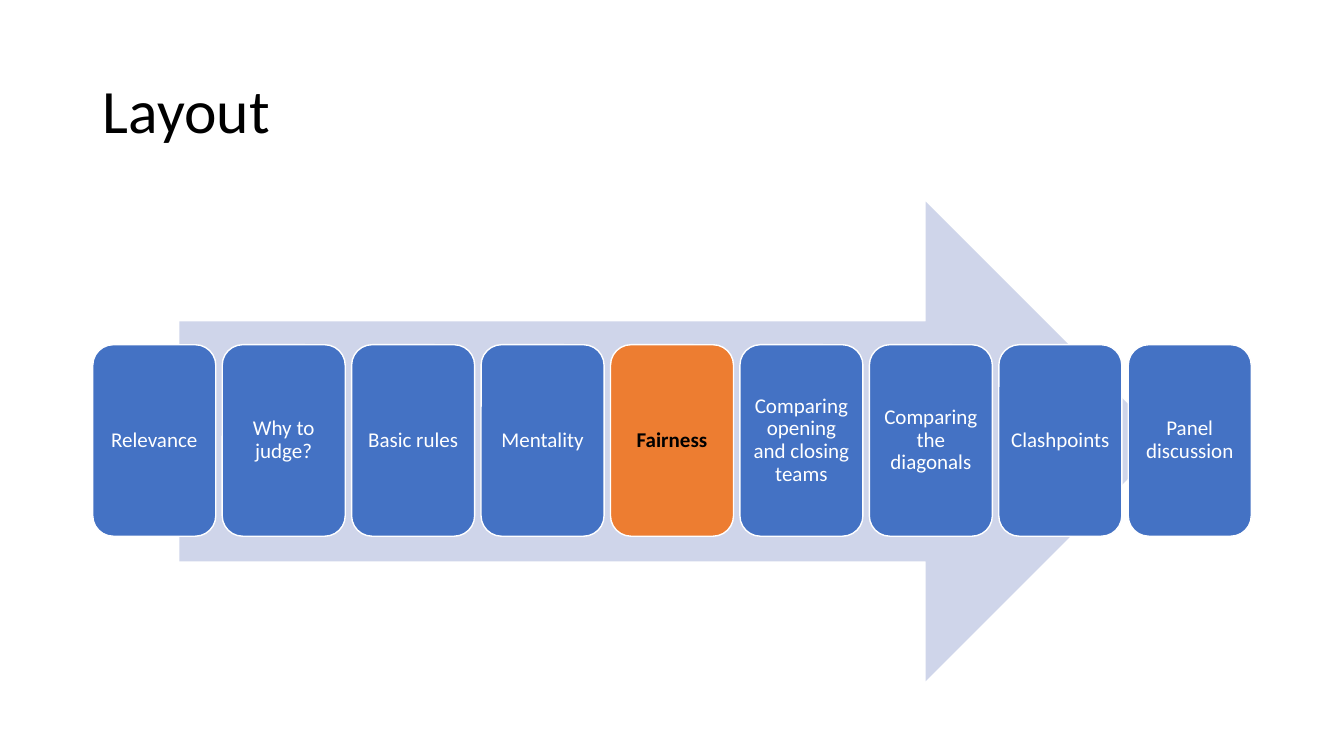
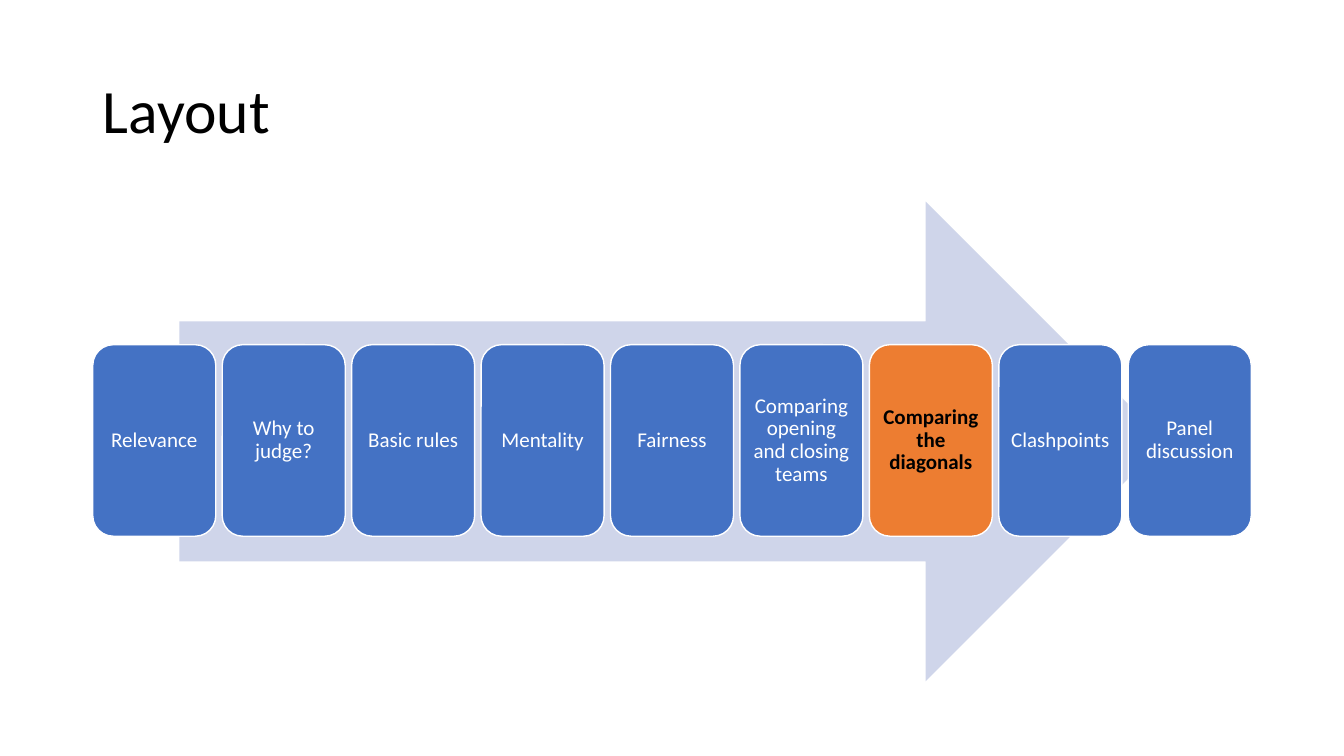
import pptx
import pptx.dml.color
import pptx.enum.shapes
import pptx.enum.text
import pptx.util

TOPICS = [
    "Relevance", "Why to judge?", "Basic rules", "Mentality", "Fairness",
    "Comparing opening and closing teams", "Comparing the diagonals",
    "Clashpoints", "Panel discussion",
]
CURRENT_TOPICS = ["Fairness", "Comparing the diagonals"]

# Agenda measures in inches
LEFT = 0.92
CARD_SPAN = 11.49
CARD_WIDTH, CARD_HEIGHT = 1.22, 1.9
ARROW_TOP, ARROW_HEIGHT = 2, 4.76
CARD_TOP = ARROW_TOP + (ARROW_HEIGHT - CARD_HEIGHT) / 2 - 0.01
CARD_PITCH = (CARD_SPAN - CARD_WIDTH) / (len(TOPICS) - 1)


def color(hex_value):
    return pptx.dml.color.RGBColor.from_string(hex_value)


class Deck:
    FONT = "Calibri"
    BLACK, WHITE = "000000", "FFFFFF"
    BLUE, ORANGE, PALE_BLUE = "4472C4", "ED7D31", "CFD5EA"

    def __init__(self):
        self.presentation = pptx.Presentation()
        self.presentation.slide_width = pptx.util.Inches(13.33)
        self.presentation.slide_height = pptx.util.Inches(7.5)
        self.slide = None

    def add_slide(self, title):
        layout = self.presentation.slide_layouts.get_by_name("Title Only")
        self.slide = self.presentation.slides.add_slide(layout)
        shape = self.slide.shapes.title
        shape.left, shape.top, shape.width, shape.height = map(
            pptx.util.Inches, (LEFT, 0.4, 11.5, 1.45))
        self.add_text(shape, title, 44, self.BLACK,
                      pptx.enum.text.PP_ALIGN.LEFT)

    def add_text(self, shape, text, size, text_color, alignment, bold=False):
        frame = shape.text_frame
        frame.word_wrap = True
        frame.auto_size = pptx.enum.text.MSO_AUTO_SIZE.NONE
        frame.vertical_anchor = pptx.enum.text.MSO_ANCHOR.MIDDLE
        paragraph = frame.paragraphs[0]
        paragraph.alignment = alignment
        paragraph.line_spacing = 0.9
        run = paragraph.add_run()
        run.text = text
        run.font.name = self.FONT
        run.font.size = pptx.util.Pt(size)
        run.font.bold = bold
        run.font.color.rgb = color(text_color)

    def add_shape(self, kind, left, top, width, height, fill, line=None):
        shape = self.slide.shapes.add_shape(
            kind, *map(pptx.util.Inches, (left, top, width, height)))
        shape.shadow.inherit = False
        shape.fill.solid()
        shape.fill.fore_color.rgb = color(fill)
        if line:
            shape.line.color.rgb = color(line)
            shape.line.width = pptx.util.Pt(1)
        else:
            shape.line.fill.background()
        return shape

    def add_arrow(self):
        self.add_shape(pptx.enum.shapes.MSO_SHAPE.RIGHT_ARROW,
                       1.78, ARROW_TOP, 9.78, ARROW_HEIGHT, self.PALE_BLUE)

    def add_card(self, column, topic, highlighted):
        card = self.add_shape(
            pptx.enum.shapes.MSO_SHAPE.ROUNDED_RECTANGLE,
            LEFT + column * CARD_PITCH, CARD_TOP, CARD_WIDTH, CARD_HEIGHT,
            self.ORANGE if highlighted else self.BLUE, self.WHITE)
        frame = card.text_frame
        frame.margin_left = frame.margin_right = pptx.util.Inches(0.06)
        frame.margin_top = frame.margin_bottom = pptx.util.Inches(0.06)
        self.add_text(card, topic, 15,
                      self.BLACK if highlighted else self.WHITE,
                      pptx.enum.text.PP_ALIGN.CENTER, highlighted)


def main():
    deck = Deck()
    # One agenda slide per current topic
    for current in CURRENT_TOPICS:
        deck.add_slide("Layout")
        deck.add_arrow()
        for column, topic in enumerate(TOPICS):
            deck.add_card(column, topic, topic == current)
    deck.presentation.save("out.pptx")


if __name__ == "__main__":
    main()
